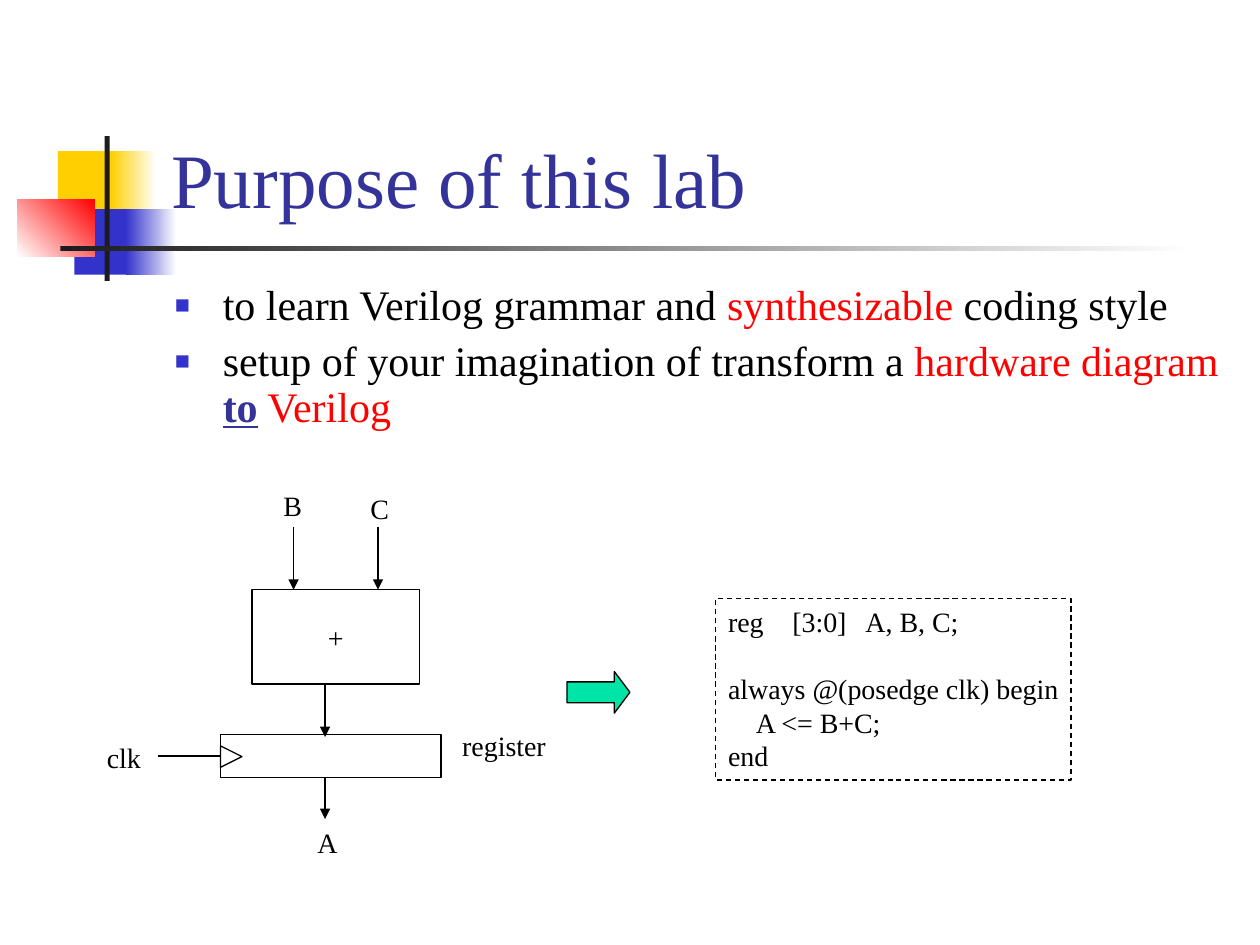
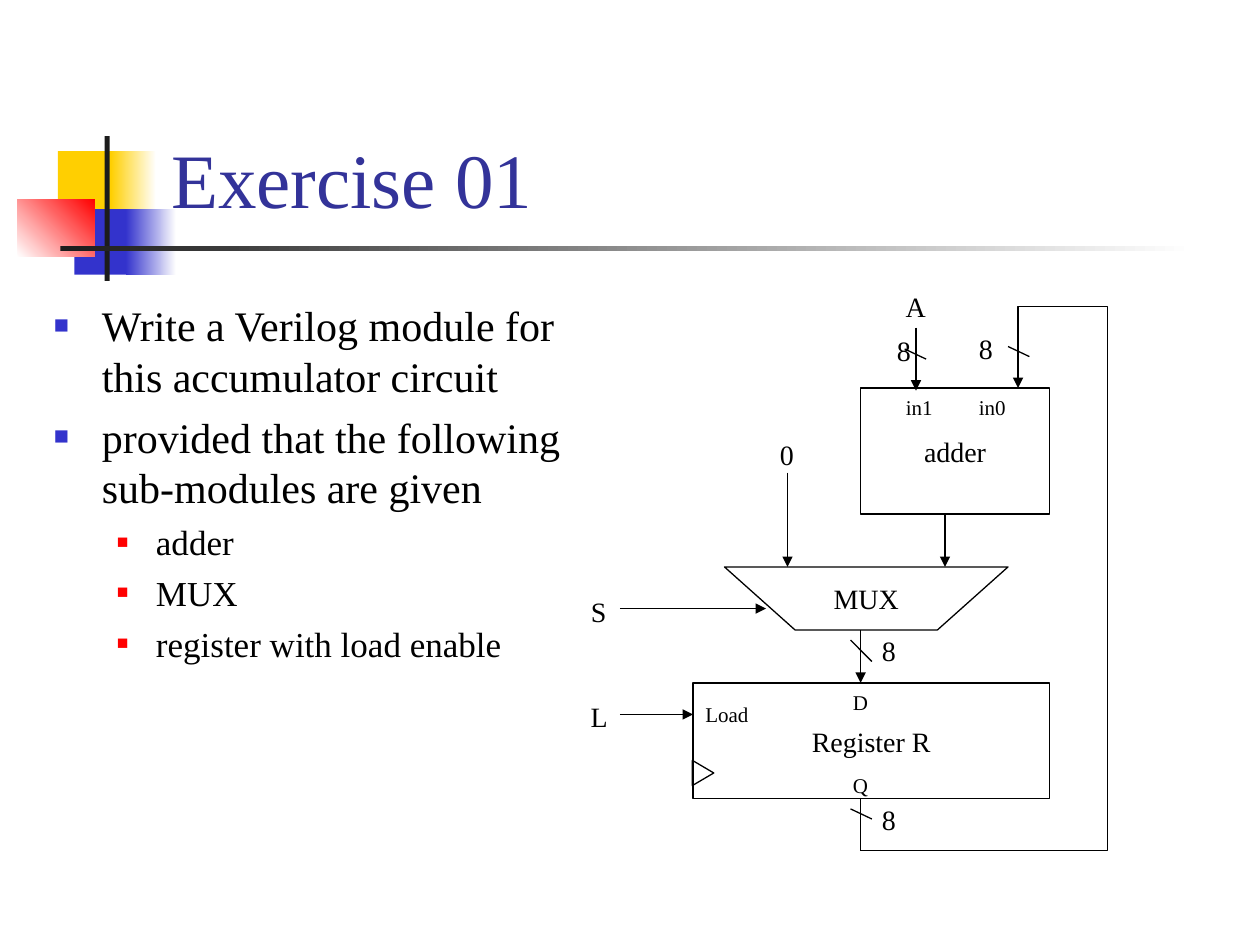
from lxml import etree
from pptx import Presentation
from pptx import util as u
from pptx.dml import color
from pptx.enum import dml, shapes, text
from pptx.oxml import ns

FONT = "Times New Roman"
BLACK, WHITE, RED = "000000", "FFFFFF", "FF0000"
YELLOW, BLUE, CHARCOAL = "FFCF01", "3333CC", "1C1C1C"
TITLE_BLUE, GREEN = "333399", "00E4A8"
LINE_WIDTH = u.Pt(0.75)

# left, top, width, height, fill colours (two make a gradient), gradient angle
TITLE_BLOCKS = [
    (0.46, 1.2, 0.48, 0.52, [YELLOW], 0),
    (0.88, 1.2, 0.36, 0.52, [YELLOW, WHITE], 0),
    (0.59, 1.66, 0.46, 0.52, [BLUE], 0),
    (1, 1.66, 0.4, 0.52, [BLUE, WHITE], 0),
    (0.14, 1.58, 0.61, 0.46, [WHITE, RED], 45),
    (0.83, 1.08, 0.04, 1.15, [CHARCOAL], 0),
    (0.48, 1.95, 9, 0.04, [CHARCOAL, WHITE], 0),
]

# left margin, bullet hang, space before, size, bullet colour, bullet percent
BULLET_LEVELS = [
    (0.38, 0.38, 6, 24, BLUE, 60),
    (0.81, 0.31, 5, 20, RED, 55),
]


def rgb(hex_string):
    return color.RGBColor.from_string(hex_string)


def box(*lengths):
    return [u.Inches(length) for length in lengths]


def add_xml(parent, tag, **attributes):
    """Append a drawing element such as a:tailEnd to its parent."""
    child = etree.SubElement(parent, ns.qn(tag))
    for name, value in attributes.items():
        child.set(name, str(value))
    return child


def add_run(paragraph, words, size, colour=BLACK, bold=False, underline=False):
    run = paragraph.add_run()
    run.text = words
    run.font.name = FONT
    run.font.size = u.Pt(size)
    run.font.color.rgb = rgb(colour)
    run.font.bold = bold
    run.font.underline = underline


def next_paragraph(frame, index):
    return frame.add_paragraph() if index else frame.paragraphs[0]


def outline(shape, fill=None):
    """Give a shape the thin black outline of the diagrams."""
    shape.shadow.inherit = False
    if fill:
        shape.fill.solid()
        shape.fill.fore_color.rgb = rgb(fill)
    else:
        shape.fill.background()
    shape.line.color.rgb = rgb(BLACK)
    shape.line.width = LINE_WIDTH


def add_caption(shape, caption):
    """Centre a caption in a diagram block."""
    frame = shape.text_frame
    frame.word_wrap = False
    frame.vertical_anchor = text.MSO_ANCHOR.MIDDLE
    paragraph = frame.paragraphs[0]
    paragraph.alignment = text.PP_ALIGN.CENTER
    add_run(paragraph, caption, 16)


def add_block(slide, place, caption="", kind=shapes.MSO_SHAPE.RECTANGLE, fill=None):
    shape = slide.shapes.add_shape(kind, *box(*place))
    outline(shape, fill)
    if caption:
        add_caption(shape, caption)
    return shape


def add_clock_mark(slide, *place):
    mark = add_block(slide, place, kind=shapes.MSO_SHAPE.ISOSCELES_TRIANGLE)
    mark.rotation = 90


def add_polygon(slide, points, closed=True):
    corners = [box(*point) for point in points]
    builder = slide.shapes.build_freeform(*corners[0], scale=1.0)
    builder.add_line_segments(corners[1:], close=closed)
    shape = builder.convert_to_shape()
    outline(shape)
    return shape


def add_label(slide, words, left, top, width, size=16):
    height = 0.37 if size == 16 else 0.3
    label = slide.shapes.add_textbox(*box(left, top, width, height))
    frame = label.text_frame
    frame.word_wrap = False
    frame.auto_size = text.MSO_AUTO_SIZE.SHAPE_TO_FIT_TEXT
    add_run(frame.paragraphs[0], words, size)


def add_wire(slide, x1, y1, x2, y2, arrow=False):
    wire = slide.shapes.add_connector(
        shapes.MSO_CONNECTOR.STRAIGHT, *box(x1, y1, x2, y2))
    wire.line.color.rgb = rgb(BLACK)
    wire.line.width = LINE_WIDTH
    properties = wire.element.spPr
    if arrow:
        add_xml(properties.find(ns.qn("a:ln")), "a:tailEnd", type="triangle")
    add_xml(properties, "a:effectLst")
    return wire


def add_bullets(slide, place, items, line_spacing=None):
    """Each item is a level and its runs: words, then colour, bold, underline."""
    body = slide.shapes.add_textbox(*box(*place))
    frame = body.text_frame
    frame.word_wrap = True
    for index, (level, runs) in enumerate(items):
        margin, hang, before, size, colour, percent = BULLET_LEVELS[level]
        paragraph = next_paragraph(frame, index)
        paragraph.level = level
        paragraph.space_before = u.Pt(before)
        if line_spacing:
            paragraph.line_spacing = line_spacing
        for words, *style in runs:
            add_run(paragraph, words, size, *style)
        properties = paragraph._p.get_or_add_pPr()
        properties.set("marL", str(u.Inches(margin)))
        properties.set("indent", str(-u.Inches(hang)))
        add_xml(add_xml(properties, "a:buClr"), "a:srgbClr", val=colour)
        add_xml(properties, "a:buSzPct", val=percent * 1000)
        add_xml(properties, "a:buFont", typeface=FONT)
        add_xml(properties, "a:buChar", char="■")


def add_code(slide, place, lines, tab_stops):
    """Each line is its words, its left indent and the space before it."""
    panel = add_block(slide, place)
    panel.line.dash_style = dml.MSO_LINE.DASH
    frame = panel.text_frame
    frame.word_wrap = False
    frame.vertical_anchor = text.MSO_ANCHOR.TOP
    for index, (words, indent, before) in enumerate(lines):
        paragraph = next_paragraph(frame, index)
        paragraph.alignment = text.PP_ALIGN.LEFT
        paragraph.space_before = u.Pt(before)
        add_run(paragraph, words, 16)
        properties = paragraph._p.get_or_add_pPr()
        properties.set("marL", str(u.Inches(indent)))
        if "\t" in words:
            stops = add_xml(properties, "a:tabLst")
            for stop in tab_stops:
                add_xml(stops, "a:tab", pos=u.Inches(stop), algn="l")


def add_titled_slide(presentation, title):
    slide = presentation.slides.add_slide(presentation.slide_layouts[6])
    for *place, colours, angle in TITLE_BLOCKS:
        block = slide.shapes.add_shape(shapes.MSO_SHAPE.RECTANGLE, *box(*place))
        block.shadow.inherit = False
        block.line.fill.background()
        if len(colours) == 1:
            block.fill.solid()
            block.fill.fore_color.rgb = rgb(colours[0])
        else:
            block.fill.gradient()
            block.fill.gradient_angle = angle
            for stop, colour in zip(block.fill.gradient_stops, colours):
                stop.color.rgb = rgb(colour)
    heading = slide.shapes.add_textbox(*box(1.26, 0.23, 8.52, 1.6))
    frame = heading.text_frame
    frame.word_wrap = True
    frame.vertical_anchor = text.MSO_ANCHOR.BOTTOM
    add_run(frame.paragraphs[0], title, 44, TITLE_BLUE)
    return slide


def build_purpose(presentation):
    slide = add_titled_slide(presentation, "Purpose of this lab")
    add_bullets(slide, (1.29, 2.21, 8.5, 1.29), [
        (0, [("to learn Verilog grammar and ",), ("synthesizable", RED),
             (" coding style",)]),
        (0, [("setup of your imagination of transform a ",),
             ("hardware diagram ", RED), ("to", TITLE_BLUE, True, True),
             (" Verilog", RED)]),
    ], line_spacing=0.9)

    add_block(slide, (2, 4.68, 1.33, 0.75), "+")
    register = add_block(slide, (1.75, 5.83, 1.75, 0.34))
    add_clock_mark(slide, 1.75, 5.92, 0.17, 0.17)
    for x, top, bottom in [(2.33, 4.18, 4.68), (3, 4.18, 4.68),
                           (2.58, 5.43, 5.85), (2.58, 6.17, 6.5)]:
        add_wire(slide, x, top, x, bottom, arrow=True)
    clock = add_wire(slide, 1.25, 6, 1.75, 6)
    clock.end_connect(register, 1)
    for label in [("B", 2.15, 3.83, 0.35), ("C", 2.84, 3.85, 0.35),
                  ("A", 2.42, 6.5, 0.36), ("clk", 0.75, 5.83, 0.47),
                  ("register", 3.57, 5.73, 0.9)]:
        add_label(slide, *label)

    add_code(slide, (5.68, 4.75, 2.82, 1.44), [
        ("reg\t[3:0]\tA, B, C;", 0, 0),
        ("always @(posedge clk) begin", 0, 19),
        ("A <= B+C;", 0.22, 0),
        ("end", 0, 0),
    ], tab_stops=(0.51, 1.09))
    arrow = add_block(slide, (4.5, 5.33, 0.5, 0.33),
                      kind=shapes.MSO_SHAPE.RIGHT_ARROW, fill=GREEN)
    arrow.adjustments[1] = 0.375


def build_exercise(presentation):
    slide = add_titled_slide(presentation, "Exercise 01")
    add_bullets(slide, (0.33, 2.33, 4.33, 3.08), [
        (0, [("Write a Verilog module for this accumulator circuit",)]),
        (0, [("provided that the following sub-modules are given",)]),
        (1, [("adder",)]),
        (1, [("MUX",)]),
        (1, [("register with load enable",)]),
    ])

    add_block(slide, (6.83, 3.08, 1.5, 1), "adder")
    add_block(slide, (5.5, 5.42, 2.83, 0.92), "Register R")
    add_clock_mark(slide, 5.48, 6.05, 0.2, 0.17)
    mux = add_polygon(slide, [(5.75, 4.5), (6.31, 5), (7.44, 5), (8, 4.5)])
    add_caption(mux, "MUX")

    for wire in [(7.27, 2.6, 7.27, 3.1), (8.08, 2.58, 8.08, 3.08),
                 (6.25, 3.75, 6.25, 4.5), (7.5, 4.08, 7.5, 4.5),
                 (6.83, 5, 6.83, 5.42), (4.92, 4.83, 6.08, 4.83),
                 (4.92, 5.67, 5.5, 5.67)]:
        add_wire(slide, *wire, arrow=True)
    add_wire(slide, 6.83, 6.33, 6.83, 6.75)
    add_polygon(slide, [(6.83, 6.75), (8.79, 6.75), (8.79, 2.43),
                        (8.08, 2.43), (8.08, 2.58)], closed=False)

    # Bus width: a slash across the wire, and its number of bits
    for left, top, drop, number_left, number_top in [
            (7.18, 2.77, 0.08, 7.02, 2.6), (8, 2.75, 0.08, 7.67, 2.58),
            (6.75, 5.08, 0.17, 6.9, 4.98), (6.75, 6.42, 0.08, 6.9, 6.32)]:
        add_wire(slide, left, top, left + 0.17, top + drop)
        add_label(slide, "8", number_left, number_top, 0.31)

    for label in [("A", 7.09, 2.25, 0.36), ("0", 6.09, 3.42, 0.31),
                  ("S", 4.59, 4.67, 0.32), ("L", 4.59, 5.5, 0.33)]:
        add_label(slide, *label)
    for port in [("in1", 7.09, 3.08, 0.41), ("in0", 7.67, 3.08, 0.41),
                 ("Load", 5.5, 5.52, 0.54), ("D", 6.67, 5.42, 0.32),
                 ("Q", 6.67, 6.08, 0.32)]:
        add_label(slide, *port, size=12)


def main():
    presentation = Presentation()
    presentation.slide_width, presentation.slide_height = box(10, 7.5)
    build_purpose(presentation)
    build_exercise(presentation)
    presentation.save("out.pptx")


if __name__ == "__main__":
    main()
